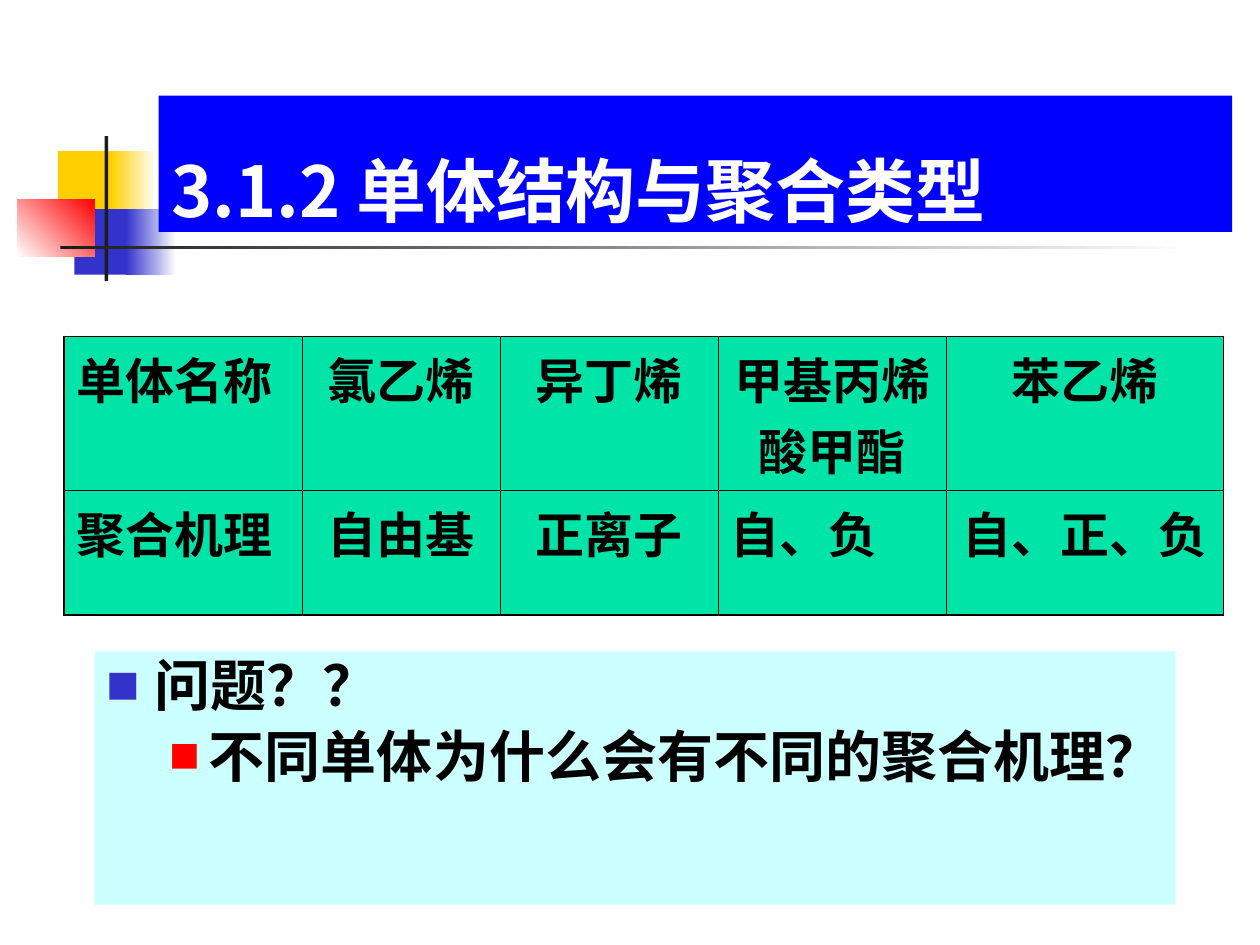
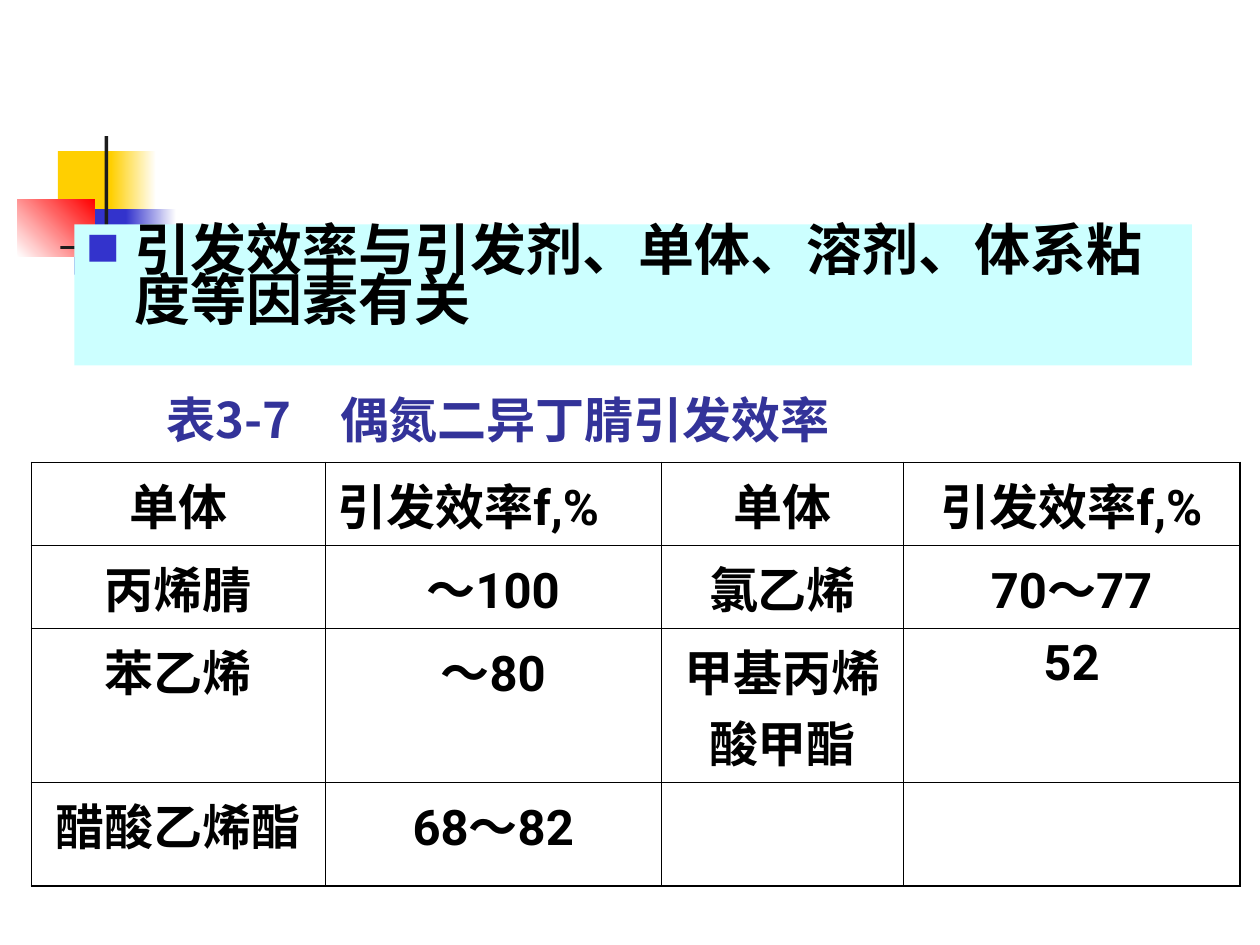
from lxml import etree
from pptx import Presentation
from pptx.dml.color import RGBColor as RGB
from pptx.enum.shapes import MSO_SHAPE as SHAPE
from pptx.enum.text import MSO_ANCHOR as ANCHOR, PP_ALIGN as ALIGN
from pptx.oxml.ns import qn
from pptx.util import Inches, Pt

COLORS = {
    "white": "FFFFFF", "black": "000000", "ink": "1C1C1C",
    "yellow": "FFCF01", "blue": "3333CC", "red": "FF0000",
    "title band": "0000FF", "caption": "333399",
    "body band": "CCFFFF", "table green": "00E4A8",
}
SANS, SANS_JP, ROBOTO, TIMES = "Noto Sans CJK SC", "Noto Sans CJK JP", "Roboto", "Times New Roman"
LEFT, CENTER, JUSTIFY = ALIGN.LEFT, ALIGN.CENTER, ALIGN.JUSTIFY

ORNAMENTS = [
    (0.46, 1.2, 0.48, 0.52, "yellow", None, 0),
    (0.88, 1.2, 0.36, 0.52, "yellow", "white", 0),
    (0.59, 1.66, 0.46, 0.52, "blue", None, 0),
    (1, 1.66, 0.4, 0.52, "blue", "white", 0),
    (0.14, 1.58, 0.61, 0.46, "white", "red", 45),
    (0.83, 1.08, 0.03, 1.15, "ink", None, 0),
    (0.48, 1.95, 9, 0.03, "ink", "white", 0),
]

SLIDES = [
    {
        "title": ("3.1.2 单体结构与聚合类型", 40, "white", "title band", (1.26, 0.76, 8.52, 1.08), 0.1),
        "body": (0.75, 5.17, 8.58, 2.01),
        "body font": SANS_JP,
        "line spacing": 0.9,
        "bullets": [
            ("问题？？", 0.38, 0.38, "blue", 60),
            ("不同单体为什么会有不同的聚合机理？", 0.81, 0.31, "red", 55),
        ],
        "table at": (0.51, 2.67),
        "columns": [1.89, 1.57, 1.73, 1.81, 2.2],
        "rows": [1.22, 0.99],
        "cells": [
            ["单体名称", "氯乙烯", "异丁烯", "甲基丙烯酸甲酯", "苯乙烯"],
            ["聚合机理", "自由基", "正离子", "自、负", "自、正、负"],
        ],
        "column fonts": [TIMES, TIMES, TIMES, ROBOTO, TIMES],
        "aligned": {(0, 0): LEFT, (1, 0): LEFT, (1, 3): LEFT},
        "cell fill": "table green",
    },
    {
        "title": ("表3-7　偶氮二异丁腈引发效率", 28, "caption", None, (1.14, 2.73, 7.98, 0.83), 0.18),
        "body": (0.59, 1.78, 8.87, 1.12),
        "body font": ROBOTO,
        "line spacing": 0.74,
        "bullets": [("引发效率与引发剂、单体、溶剂、体系粘度等因素有关", 0.38, 0.38, "blue", 60)],
        "table at": (0.25, 3.67),
        "columns": [2.33, 2.67, 1.92, 2.67],
        "rows": [0.66, 0.66, 1.22, 0.82],
        "cells": [
            ["单体", "引发效率f,%", "单体", "引发效率f,%"],
            ["丙烯腈", "～100", "氯乙烯", "70～77"],
            ["苯乙烯", "～80", "甲基丙烯酸甲酯", "52"],
            ["醋酸乙烯酯", "68～82", "", ""],
        ],
        "column fonts": [ROBOTO] * 4,
        "aligned": {(0, 1): JUSTIFY},
        "cell fill": None,
    },
]


def add_text(para, text, size, color, font):
    span = para.add_run()
    span.text = text
    span.font.size = Pt(size)
    span.font.bold = True
    span.font.name = font
    span.font.color.rgb = RGB.from_string(COLORS[color])
    properties = span._r.get_or_add_rPr()
    properties.set("lang", "zh-CN")
    etree.SubElement(properties, qn("a:ea")).set("typeface", SANS)


def add_box(page, place, fill):
    box = page.shapes.add_textbox(*map(Inches, place))
    if fill:
        box.fill.solid()
        box.fill.fore_color.rgb = RGB.from_string(COLORS[fill])
    box.text_frame.word_wrap = True
    return box.text_frame


deck = Presentation()
deck.slide_width, deck.slide_height = Inches(10), Inches(7.5)

for content in SLIDES:
    page = deck.slides.add_slide(deck.slide_layouts[6])

    for left, top, width, height, start, end, angle in ORNAMENTS:
        ornament = page.shapes.add_shape(SHAPE.RECTANGLE, *map(Inches, (left, top, width, height)))
        ornament.shadow.inherit = False
        ornament.line.fill.background()
        if end:
            ornament.fill.gradient()
            ornament.fill.gradient_angle = angle
            for stop, name in zip(ornament.fill.gradient_stops, (start, end)):
                stop.color.rgb = RGB.from_string(COLORS[name])
        else:
            ornament.fill.solid()
            ornament.fill.fore_color.rgb = RGB.from_string(COLORS[start])

    text, size, color, fill, place, inset = content["title"]
    title = add_box(page, place, fill)
    title.vertical_anchor = ANCHOR.BOTTOM
    title.margin_left, title.margin_bottom = Inches(inset), 0
    add_text(title.paragraphs[0], text, size, color, SANS)

    body = add_box(page, content["body"], "body band")
    body.margin_right = Inches(0.05)
    for index, (text, margin, hanging, color, percent) in enumerate(content["bullets"]):
        para = body.add_paragraph() if index else body.paragraphs[0]
        para.line_spacing = content["line spacing"]
        if index:
            para.space_before = Pt(6)
            para.level = index
        layout = para._p.get_or_add_pPr()
        layout.set("marL", str(Inches(margin)))
        layout.set("indent", str(-Inches(hanging)))
        bullet_color = etree.SubElement(layout, qn("a:buClr"))
        etree.SubElement(bullet_color, qn("a:srgbClr")).set("val", COLORS[color])
        etree.SubElement(layout, qn("a:buSzPct")).set("val", str(percent * 1000))
        etree.SubElement(layout, qn("a:buFont")).set("typeface", SANS)
        etree.SubElement(layout, qn("a:buChar")).set("char", "■")
        add_text(para, text, 32, "black", content["body font"])

    widths, heights = content["columns"], content["rows"]
    place = (*content["table at"], sum(widths), sum(heights))
    table = page.shapes.add_table(len(heights), len(widths), *map(Inches, place)).table
    table.first_row = table.horz_banding = False
    for column, width in zip(table.columns, widths):
        column.width = Inches(width)
    for row, height in zip(table.rows, heights):
        row.height = Inches(height)
    for r, texts in enumerate(content["cells"]):
        for c, text in enumerate(texts):
            cell = table.cell(r, c)
            outer = {
                "a:lnL": c == 0, "a:lnR": c == len(widths) - 1,
                "a:lnT": r == 0, "a:lnB": r == len(heights) - 1,
            }
            for side, is_outer in outer.items():
                border = etree.SubElement(cell._tc.get_or_add_tcPr(), qn(side))
                border.set("w", str(Pt(1.08 if is_outer else 0.45)))
                paint = etree.SubElement(border, qn("a:solidFill"))
                etree.SubElement(paint, qn("a:srgbClr")).set("val", COLORS["black"])
            if content["cell fill"]:
                cell.fill.solid()
                cell.fill.fore_color.rgb = RGB.from_string(COLORS[content["cell fill"]])
            else:
                cell.fill.background()
            if text:
                para = cell.text_frame.paragraphs[0]
                para.alignment = content["aligned"].get((r, c), CENTER)
                add_text(para, text, 28, "black", content["column fonts"][c])

deck.save("out.pptx")
